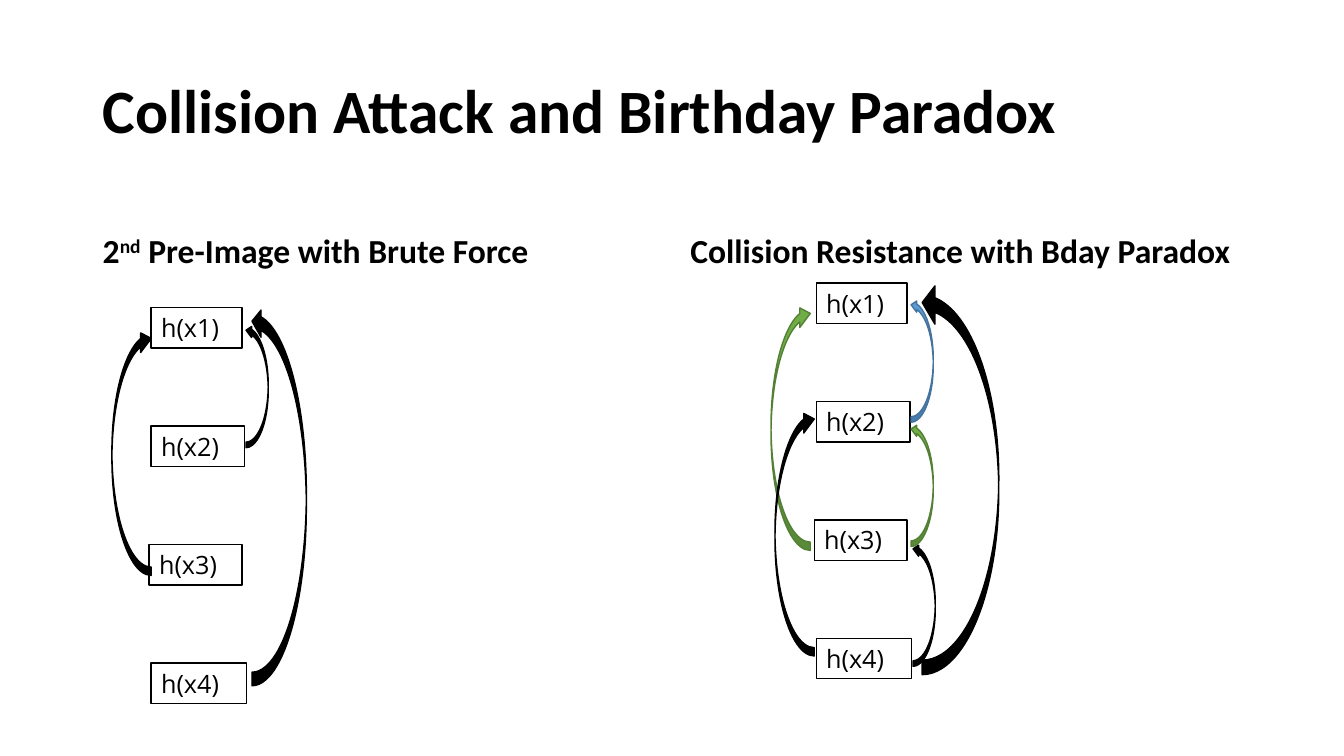
from pptx import Presentation
from pptx.dml.color import RGBColor
from pptx.enum.shapes import MSO_SHAPE
from pptx.enum.text import MSO_ANCHOR, PP_ALIGN
from pptx.util import Cm, Pt

RECTANGLE = MSO_SHAPE.RECTANGLE
BULGE_RIGHT = MSO_SHAPE.CURVED_RIGHT_ARROW  # turned by 180 degrees
BULGE_LEFT = MSO_SHAPE.CURVED_LEFT_ARROW  # turned by 180 degrees
MIDDLE, BOTTOM = MSO_ANCHOR.MIDDLE, MSO_ANCHOR.BOTTOM
LEFT = PP_ALIGN.LEFT

BLACK = RGBColor(0x00, 0x00, 0x00)
WHITE = RGBColor(0xFF, 0xFF, 0xFF)
BLUE = RGBColor(0x5B, 0x9B, 0xD5)
DARK_BLUE = RGBColor(0x43, 0x73, 0x9E)
GREEN = RGBColor(0x70, 0xAD, 0x47)
DARK_GREEN = RGBColor(0x53, 0x80, 0x35)

# Hash boxes: offset from the column's left edge and width, in cm
HASH_BOXES = [(0, 2.29), (0, 2.36), (-0.05, 2.34), (0, 2.41)]
HASH_PITCH = 2.985
HASH_HEIGHT = 1.02

# Arrow sizes in cm
SHORT = (0.56, 3.1)
MEDIUM = (0.99, 6.22)
MEDIUM_BEND = (0.213, 0.5, 0.268)


def write_text(shape, text, size, font="Calibri", bold=False, anchor=MIDDLE,
               line_spacing=None, superscript=None):
    """Fill the shape with one paragraph; one part of it may be raised."""
    frame = shape.text_frame
    frame.word_wrap = True
    frame.vertical_anchor = anchor
    paragraph = frame.paragraphs[0]
    paragraph.alignment = LEFT
    if line_spacing:
        paragraph.line_spacing = line_spacing
    before, raised, after = text.partition(superscript) if superscript else (text, "", "")
    for part in filter(None, (before, raised, after)):
        run = paragraph.add_run()
        run.text = part
        run.font.name = font
        run.font.size = Pt(size)
        run.font.bold = bold
        run.font.color.rgb = BLACK
        if part == superscript:
            run._r.get_or_add_rPr().set("baseline", "30000")


def add_heading(slide, text, left, top, width, height, **text_format):
    box = slide.shapes.add_textbox(Cm(left), Cm(top), Cm(width), Cm(height))
    write_text(box, text, bold=True, line_spacing=0.9, **text_format)


def add_filled_shape(slide, kind, left, top, width, height, fill, line):
    shape = slide.shapes.add_shape(kind, Cm(left), Cm(top), Cm(width), Cm(height))
    shape.shadow.inherit = False
    shape.fill.solid()
    shape.fill.fore_color.rgb = fill
    shape.line.color.rgb = line
    shape.line.width = Pt(1)
    return shape


def add_hash_column(slide, left, top):
    for index, (offset, width) in enumerate(HASH_BOXES):
        box = add_filled_shape(slide, RECTANGLE, left + offset, top + index * HASH_PITCH,
                               width, HASH_HEIGHT, WHITE, BLACK)
        write_text(box, f"h(x{index + 1})", 18, font="Open Sans", anchor=MSO_ANCHOR.TOP)


def add_curved_arrow(slide, kind, left, top, size, bend=(), fill=BLACK, line=BLACK):
    arrow = add_filled_shape(slide, kind, left, top, *size, fill, line)
    arrow.rotation = 180
    for index, value in enumerate(bend):
        arrow.adjustments[index] = value


def main():
    presentation = Presentation()
    presentation.slide_width = Cm(33.87)
    presentation.slide_height = Cm(19.05)
    slide = presentation.slides.add_slide(presentation.slide_layouts[6])

    # Title and column headings
    add_heading(slide, "Collision Attack and Birthday Paradox",
                2.34, 1.02, 29.21, 3.68, size=44)
    add_heading(slide, "2nd Pre-Image with Brute Force",
                2.34, 4.67, 14.33, 2.29, size=24, anchor=BOTTOM, superscript="nd")
    add_heading(slide, "Collision Resistance with Bday Paradox",
                17.15, 4.67, 14.4, 2.29, size=24, anchor=BOTTOM)

    # Second pre-image: every hash is compared with the first
    add_hash_column(slide, 3.81, 7.75)
    add_curved_arrow(slide, BULGE_RIGHT, 6.2, 8.18, SHORT)
    add_curved_arrow(slide, BULGE_LEFT, 2.82, 8.28, MEDIUM, MEDIUM_BEND)
    add_curved_arrow(slide, BULGE_RIGHT, 6.35, 7.75, (1.37, 9.53), (0.25, 0.5, 0.166))

    # Collision: every pair of hashes is compared
    add_hash_column(slide, 20.57, 7.13)
    add_curved_arrow(slide, BULGE_RIGHT, 22.96, 7.54, SHORT, fill=BLUE, line=DARK_BLUE)
    add_curved_arrow(slide, BULGE_LEFT, 19.43, 7.65, MEDIUM, MEDIUM_BEND, GREEN, DARK_GREEN)
    add_curved_arrow(slide, BULGE_RIGHT, 23.24, 7.14, (1.93, 9.86), (0.19, 0.5, 0.166))
    add_curved_arrow(slide, BULGE_RIGHT, 22.96, 10.67, SHORT, fill=GREEN, line=DARK_GREEN)
    add_curved_arrow(slide, BULGE_RIGHT, 23.01, 13.69, SHORT)
    add_curved_arrow(slide, BULGE_LEFT, 19.53, 10.31, MEDIUM, MEDIUM_BEND)

    presentation.save("out.pptx")


if __name__ == "__main__":
    main()
